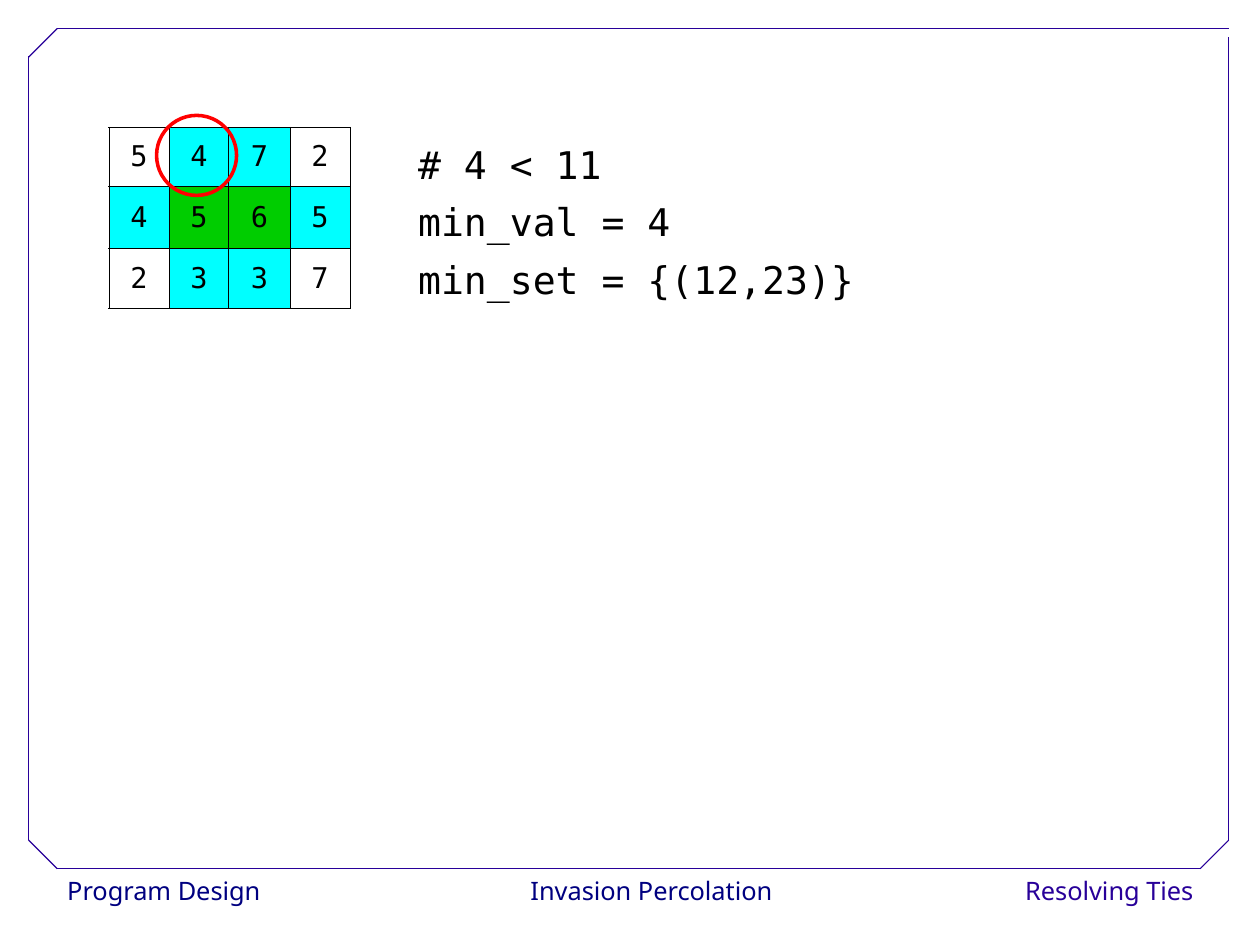
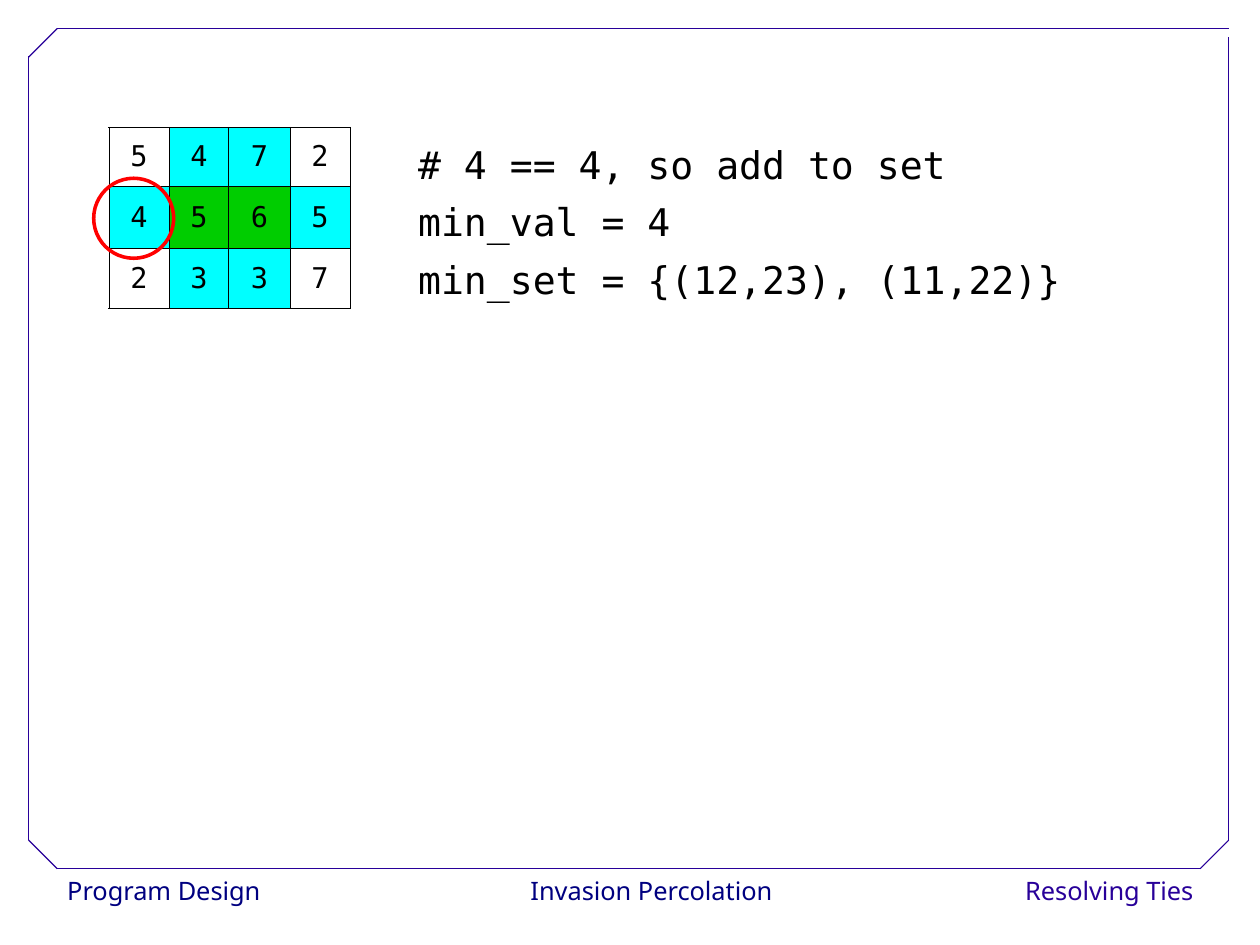
from lxml import etree
from pptx import Presentation
from pptx.dml.color import RGBColor
from pptx.enum.shapes import MSO_CONNECTOR, MSO_SHAPE
from pptx.enum.text import MSO_ANCHOR, PP_ALIGN
from pptx.oxml.ns import qn
from pptx.util import Cm, Inches, Pt

STRAIGHT = MSO_CONNECTOR.STRAIGHT
OVAL = MSO_SHAPE.OVAL
MIDDLE = MSO_ANCHOR.MIDDLE
LEFT, CENTER, RIGHT = PP_ALIGN.LEFT, PP_ALIGN.CENTER, PP_ALIGN.RIGHT

COLORS = {
    "background": "FFFFFF",
    "text": "000000",
    "footer": "000080",
    "frame": "280099",
    "boundary": "00FFFF",
    "filled": "00CD00",
    "marker": "FF0000",
}
CODE_FONT = "DejaVu Sans Mono"
FOOTER_FONT = "Noto Sans"

FOOTERS = [
    ("Program Design", 0.49, 2.0, LEFT, "footer"),
    ("Invasion Percolation", 4.45, 2.5, CENTER, "footer"),
    ("Resolving Ties", 8.54, 2.0, RIGHT, "frame"),
]
FRAME_LINES = [
    ((0.5, 7.6), (10.5, 7.6)),
    ((0.25, 7.35), (0.25, 0.49)),
    ((0.5, 0.25), (10.75, 0.25)),
    ((10.75, 7.35), (10.75, 0.32)),
    ((0.25, 0.5), (0.5, 0.25)),
    ((10.5, 7.6), (10.75, 7.35)),
    ((0.25, 7.35), (0.5, 7.6)),
]

GRID_VALUES = ["5472", "4565", "2337"]
GRID_STATES = [
    ["background", "boundary", "boundary", "background"],
    ["boundary", "filled", "filled", "boundary"],
    ["background", "boundary", "boundary", "background"],
]
COLUMN_WIDTHS = [0.53, 0.52, 0.54, 0.52]
ROW_HEIGHTS = [0.52, 0.54, 0.53]
MARKER_SIZE = 0.7

STEPS = [
    ((1.37, 1.01), ["# 4 < 11", "min_val = 4", "min_set = {(12,23)}"]),
    ((0.82, 1.56), ["# 4 == 4, so add to set", "min_val = 4",
                    "min_set = {(12,23), (11,22)}"]),
]


def color(name):
    return RGBColor.from_string(COLORS[name])


def write_paragraph(paragraph, text, font_name, size, color_name, alignment, spacing):
    paragraph.alignment = alignment
    paragraph.line_spacing = spacing
    run = paragraph.add_run()
    run.text = text
    run.font.name = font_name
    run.font.size = Pt(size)
    run.font.color.rgb = color(color_name)


def add_text_box(slide, left, top, width, height):
    box = slide.shapes.add_textbox(
        Inches(left), Inches(top), Inches(width), Inches(height))
    box.text_frame.word_wrap = True
    return box


def add_footers(slide):
    for text, left, width, alignment, color_name in FOOTERS:
        box = add_text_box(slide, left, 7.6, width, 0.4)
        write_paragraph(box.text_frame.paragraphs[0], text, FOOTER_FONT, 16,
                        color_name, alignment, 1.02)


def add_frame(slide):
    for start, end in FRAME_LINES:
        points = [Inches(value) for value in start + end]
        line = slide.shapes.add_connector(STRAIGHT, *points)
        line.line.color.rgb = color("frame")
        line.line.width = Pt(0.75)
        etree.SubElement(line._element.spPr, qn("a:effectLst"))


def set_borders(cell):
    properties = cell._tc.get_or_add_tcPr()
    for position, side in enumerate(["a:lnL", "a:lnR", "a:lnT", "a:lnB"]):
        border = etree.Element(qn(side), w=str(Pt(0.06)))
        fill = etree.SubElement(border, qn("a:solidFill"))
        etree.SubElement(fill, qn("a:srgbClr"), val=COLORS["text"])
        properties.insert(position, border)


def add_grid(slide):
    table = slide.shapes.add_table(
        len(ROW_HEIGHTS), len(COLUMN_WIDTHS), Inches(0.95), Inches(1.11),
        Inches(sum(COLUMN_WIDTHS)), Inches(sum(ROW_HEIGHTS))).table
    for column, width in zip(table.columns, COLUMN_WIDTHS):
        column.width = Inches(width)
    for row, height, values, states in zip(
            table.rows, ROW_HEIGHTS, GRID_VALUES, GRID_STATES):
        row.height = Inches(height)
        for cell, value, state in zip(row.cells, values, states):
            cell.vertical_anchor = MIDDLE
            cell.fill.solid()
            cell.fill.fore_color.rgb = color(state)
            set_borders(cell)
            write_paragraph(cell.text_frame.paragraphs[0], value, CODE_FONT, 18,
                            "text", CENTER, 1.02)


def add_marker(slide, left, top):
    marker = slide.shapes.add_shape(
        OVAL, Inches(left), Inches(top), Inches(MARKER_SIZE), Inches(MARKER_SIZE))
    marker.shadow.inherit = False
    marker.fill.background()
    marker.line.color.rgb = color("marker")
    marker.line.width = Pt(2.25)


def add_code(slide, lines):
    frame = add_text_box(slide, 3.56, 1.09, 6.49, 1.64).text_frame
    for index, text in enumerate(lines):
        paragraph = frame.add_paragraph() if index else frame.paragraphs[0]
        write_paragraph(paragraph, text, CODE_FONT, 24, "text", LEFT, 1.25)


def main():
    presentation = Presentation()
    presentation.slide_width = Cm(28)
    presentation.slide_height = Cm(21)
    blank_layout = presentation.slide_layouts[6]
    for marker_position, code_lines in STEPS:
        slide = presentation.slides.add_slide(blank_layout)
        add_footers(slide)
        add_frame(slide)
        add_grid(slide)
        add_marker(slide, *marker_position)
        add_code(slide, code_lines)
    presentation.save("out.pptx")


if __name__ == "__main__":
    main()
